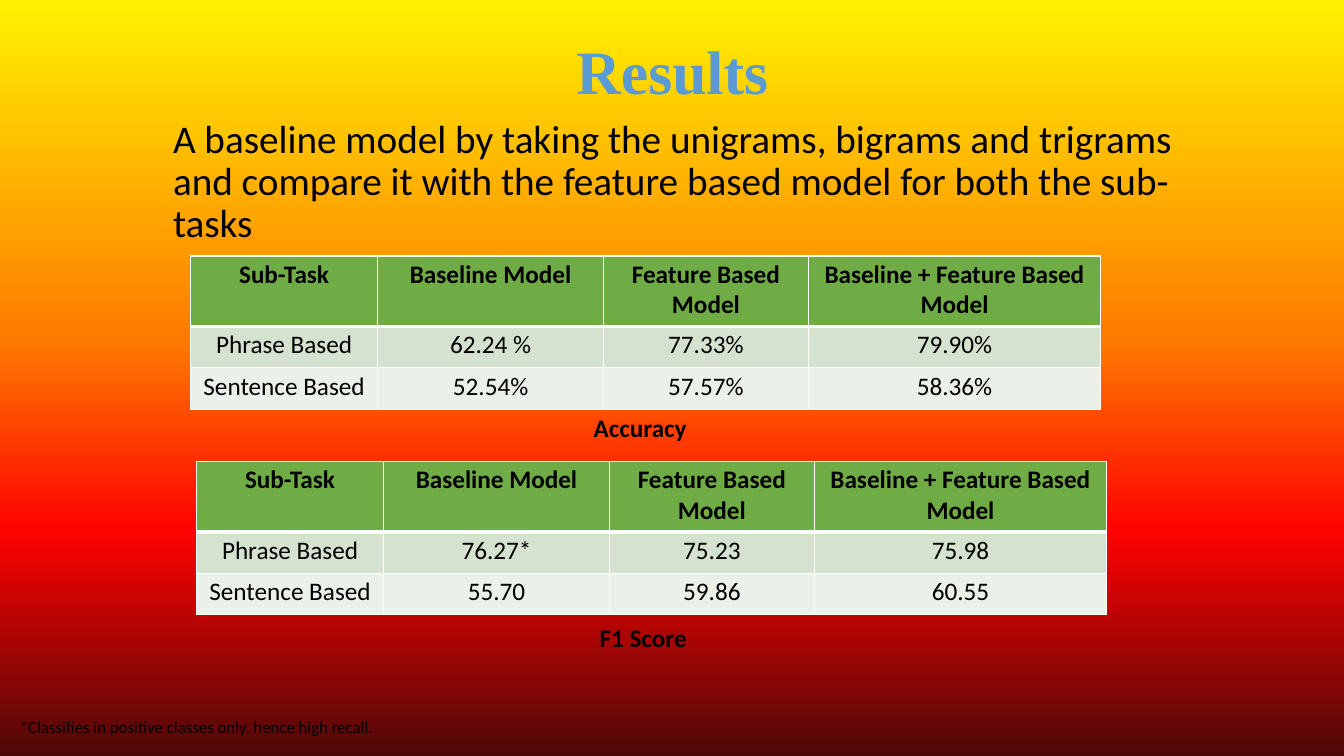
import pptx
import pptx.dml.color
import pptx.enum.text
import pptx.oxml
import pptx.oxml.ns
import pptx.util
from lxml import etree

Cm, Pt = pptx.util.Cm, pptx.util.Pt
PP_ALIGN = pptx.enum.text.PP_ALIGN
qn = pptx.oxml.ns.qn

BACKGROUND = [(0, "FFF200"), (45, "FF7A00"), (70, "FF0300"), (100, "4D0808")]
HEADER_FILL, ROW_FILLS = "6FAC46", ["D4E2CF", "EBF0E9"]
COLUMN_WIDTHS, ROW_HEIGHTS = [4.72, 5.69, 5.16, 7.37], [1.78, 1.04, 1.04]
HEADERS = ["Sub-Task", "Baseline Model", "Feature Based Model",
           "Baseline + Feature Based Model"]
ACCURACY = [["Phrase Based", "62.24 %", "77.33%", "79.90%"],
            ["Sentence Based", "52.54%", "57.57%", "58.36%"]]
F1_SCORE = [["Phrase Based", "76.27*", "75.23", "75.98"],
            ["Sentence Based", "55.70", "59.86", "60.55"]]


def rgb(value):
    """Turn a hex string into a colour."""
    return pptx.dml.color.RGBColor.from_string(value)


def set_margins(target, top):
    """Keep only a top inset, in cm, on a text frame or cell."""
    target.margin_left = target.margin_right = target.margin_bottom = 0
    target.margin_top = Cm(top)


def write(p, text, size=18, font="Calibri", color="000000", bold=False,
          align=PP_ALIGN.LEFT, before=2.5, line=None):
    """Put formatted text in a paragraph."""
    p.alignment, p.space_before = align, Pt(before)
    if line:
        p.line_spacing = Pt(line)
    r = p.add_run()
    r.text = text
    r.font.size, r.font.name, r.font.bold = Pt(size), font, bold
    r.font.color.rgb = rgb(color)


def add_background(slide, stops):
    """Fill the slide with a vertical gradient."""
    fill = slide.background.fill
    fill.gradient()
    fill.gradient_angle = 270
    gs_list = slide.background._cSld.find(".//" + qn("a:gsLst"))
    for gs in list(gs_list):
        gs_list.remove(gs)
    for position, color in stops:
        gs = etree.SubElement(gs_list, qn("a:gs"), pos=str(position * 1000))
        etree.SubElement(gs, qn("a:srgbClr"), val=color)


def add_title(slide, left, top, width, height):
    """Write the heading and its introduction in the title placeholder."""
    sp = slide.shapes.title
    sp.left, sp.top, sp.width, sp.height = map(Cm, (left, top, width, height))
    tf = sp.text_frame
    tf.word_wrap = True
    tf.auto_size = pptx.enum.text.MSO_AUTO_SIZE.NONE
    tf.vertical_anchor = pptx.enum.text.MSO_ANCHOR.TOP
    set_margins(tf, 0.3)
    p = tf.paragraphs[0]
    write(p, "Results", size=44, font="Times New Roman", color="5B9BD4",
          bold=True, align=PP_ALIGN.CENTER, before=8.7)
    p._p.get_or_add_pPr().set("marL", str(Cm(1.8)))
    write(tf.add_paragraph(), "A baseline model by taking the unigrams, bigrams "
          "and trigrams and compare it with the feature based model for both "
          "the sub-tasks", size=28, before=8.7, line=30.2)


def add_label(slide, text, left, top, width, height, **style):
    """Add a one-line text box."""
    tf = slide.shapes.add_textbox(*map(Cm, (left, top, width, height))).text_frame
    tf.word_wrap = False
    set_margins(tf, 0.03)
    write(tf.paragraphs[0], text, before=1, **style)


def set_borders(cell, **widths):
    """Draw white cell borders with the given widths in points."""
    tc_pr = cell._tc.get_or_add_tcPr()
    for index, side in enumerate("LRTB"):
        ln = etree.Element(qn("a:ln" + side), w=str(Pt(widths.get(side, 1))))
        fill = etree.SubElement(ln, qn("a:solidFill"))
        etree.SubElement(fill, qn("a:srgbClr"), val="FFFFFF")
        tc_pr.insert(index, ln)


def add_results(slide, left, top, rows, caption, caption_drop):
    """Add a score table with its caption below."""
    table = slide.shapes.add_table(
        len(ROW_HEIGHTS), len(COLUMN_WIDTHS), Cm(left), Cm(top),
        Cm(sum(COLUMN_WIDTHS)), Cm(sum(ROW_HEIGHTS))).table
    for column, width in zip(table.columns, COLUMN_WIDTHS):
        column.width = Cm(width)
    fills = [HEADER_FILL] + ROW_FILLS
    for i, values in enumerate([HEADERS] + rows):
        table.rows[i].height = Cm(ROW_HEIGHTS[i])
        for j, value in enumerate(values):
            cell = table.cell(i, j)
            set_margins(cell, 0.08)
            cell.fill.solid()
            cell.fill.fore_color.rgb = rgb(fills[i])
            set_borders(cell, T=3 if i == 1 else 1, B=3 if i == 0 else 1)
            write(cell.text_frame.paragraphs[0], value, bold=i == 0,
                  align=PP_ALIGN.CENTER)
    add_label(slide, caption, left + 10.16, top + caption_drop, 2.4, 0.84, bold=True)


def main():
    """Build the results slide."""
    prs = pptx.Presentation()
    prs.slide_width, prs.slide_height = Cm(33.87), Cm(19.05)
    slide = prs.slides.add_slide(prs.slide_layouts[5])
    add_background(slide, BACKGROUND)
    add_title(slide, 2.56, 0.53, 26.97, 4.62)
    add_results(slide, 4.8, 6.45, ACCURACY, "Accuracy", 3.91)
    add_results(slide, 4.95, 11.63, F1_SCORE, "F1 Score", 4.01)
    add_label(slide, "*Classifies in positive classes only, hence high recall.",
              0.5, 18.03, 9, 0.58, size=12)
    prs.save("out.pptx")


main()
